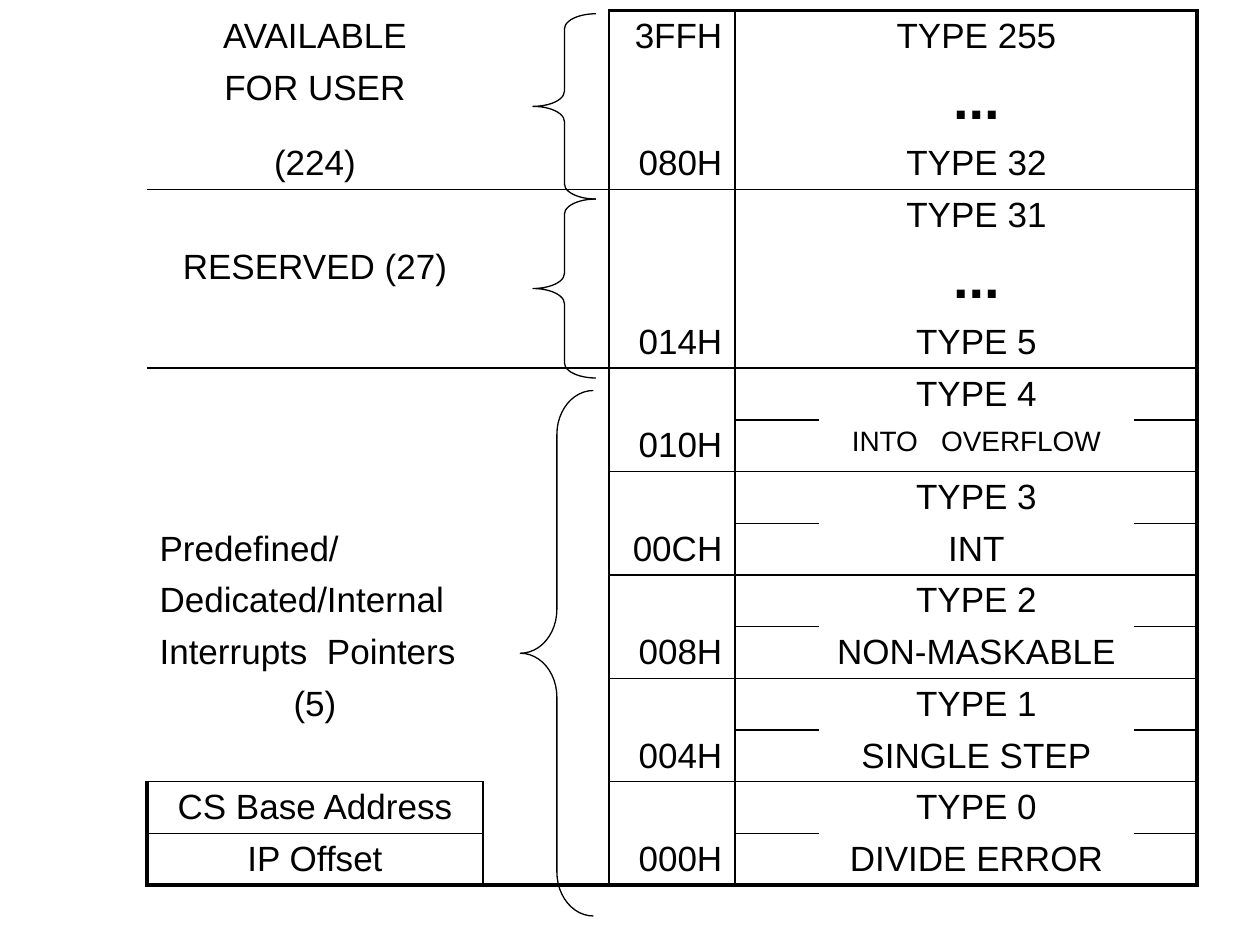
import pptx
import pptx.util
import pptx.dml.color
import pptx.enum.shapes
import pptx.enum.text
import pptx.oxml.ns
import lxml.etree

Inches, Pt = pptx.util.Inches, pptx.util.Pt
ALIGN = pptx.enum.text.PP_ALIGN
THEME = {"ink": "000000", "font": "Arial", "body": 20, "small": 16, "dots": 32,
         "thin": 1, "thick": 2.25, "brace": 0.75}
INK = pptx.dml.color.RGBColor.from_string(THEME["ink"])

deck = pptx.Presentation()
deck.slide_width, deck.slide_height = Inches(10), Inches(7.5)
slide = deck.slides.add_slide(deck.slide_layouts[6])

module = deck.slide_width / 60
column_modules = [16, 6, 6, 4, 15, 3]
vector_types = ["TYPE 255", "...", "TYPE 32", "TYPE 31", "...", "TYPE 5",
                "TYPE 4", "INTO   OVERFLOW", "TYPE 3", "INT", "TYPE 2",
                "NON-MASKABLE", "TYPE 1", "SINGLE STEP", "TYPE 0", "DIVIDE ERROR"]
addresses = {0: "3FFH", 2: "080H", 5: "014H", 7: "010H", 9: "00CH",
             11: "008H", 13: "004H", 15: "000H"}
regions = {0: "AVAILABLE", 1: "FOR USER", 2: "(224)", 4: "RESERVED (27)",
           9: "Predefined/", 10: "Dedicated/Internal", 11: "Interrupts  Pointers",
           12: "(5)", 14: "CS Base Address", 15: "IP Offset"}
left_aligned = {9, 10, 11}
row_count, column_count = len(vector_types), len(column_modules)

thin, thick = THEME["thin"], THEME["thick"]
horizontal = {}
for column in range(column_count):
    horizontal[row_count, column] = thick
    for edge in (3, 6):
        horizontal[edge, column] = thin
for column in range(2, column_count):
    horizontal[0, column] = thick
    for edge in range(8, row_count, 2):
        horizontal[edge, column] = thin
for column in (3, 5):
    for edge in range(7, row_count, 2):
        horizontal[edge, column] = thin
vertical = {}
for row in range(row_count):
    vertical[row, 2] = vertical[row, 3] = thin
    vertical[row, column_count] = thick
for row in (14, 15):
    horizontal[row, 0] = vertical[row, 1] = thin
    vertical[row, 0] = thick


def add_border(cell, side, width):
    properties = cell._tc.get_or_add_tcPr()
    border = lxml.etree.SubElement(properties, pptx.oxml.ns.qn("a:" + side))
    if width is None:
        lxml.etree.SubElement(border, pptx.oxml.ns.qn("a:noFill"))
        return
    border.set("w", str(Pt(width)))
    fill = lxml.etree.SubElement(border, pptx.oxml.ns.qn("a:solidFill"))
    lxml.etree.SubElement(fill, pptx.oxml.ns.qn("a:srgbClr"), val=THEME["ink"])


def write_cell(cell, text, alignment):
    paragraph = cell.text_frame.paragraphs[0]
    paragraph.alignment = alignment
    run = paragraph.add_run()
    run.text = text
    size = {"...": "dots", "INTO   OVERFLOW": "small"}.get(text, "body")
    run.font.size = Pt(THEME[size])
    run.font.bold = text == "..."
    run.font.name = THEME["font"]
    run.font.color.rgb = INK


vector_map = slide.shapes.add_table(row_count, column_count, int(7 * module),
                                    int(module / 2), int(50 * module), int(44 * module))
grid = vector_map.table
grid.first_row = grid.horz_banding = False
for column, modules in enumerate(column_modules):
    grid.columns[column].width = int(modules * module)
for row in range(row_count):
    grid.rows[row].height = Inches(0.22)
    for column in range(column_count):
        cell = grid.cell(row, column)
        add_border(cell, "lnL", vertical.get((row, column)))
        add_border(cell, "lnR", vertical.get((row, column + 1)))
        add_border(cell, "lnT", horizontal.get((row, column)))
        add_border(cell, "lnB", horizontal.get((row + 1, column)))
        cell.fill.background()
    if row in regions:
        write_cell(grid.cell(row, 0), regions[row],
                   ALIGN.LEFT if row in left_aligned else ALIGN.CENTER)
    if row in addresses:
        write_cell(grid.cell(row, 2), addresses[row], ALIGN.RIGHT)
    write_cell(grid.cell(row, 4), vector_types[row], ALIGN.CENTER)
vector_map.height = int(44 * module)

region_braces = [(4.13, 3.1, 0.58, 4.17, 0.6),
                 (4.23, 1.58, 0.5, 1.42, 0.24),
                 (4.23, 0.11, 0.5, 1.47, 0.24)]
for left, top, width, height, curl in region_braces:
    brace = slide.shapes.add_shape(pptx.enum.shapes.MSO_SHAPE.LEFT_BRACE, Inches(left),
                                   Inches(top), Inches(width), Inches(height))
    brace.adjustments[0] = curl
    brace.shadow.inherit = False
    brace.fill.background()
    brace.line.color.rgb = INK
    brace.line.width = Pt(THEME["brace"])

deck.save("out.pptx")
